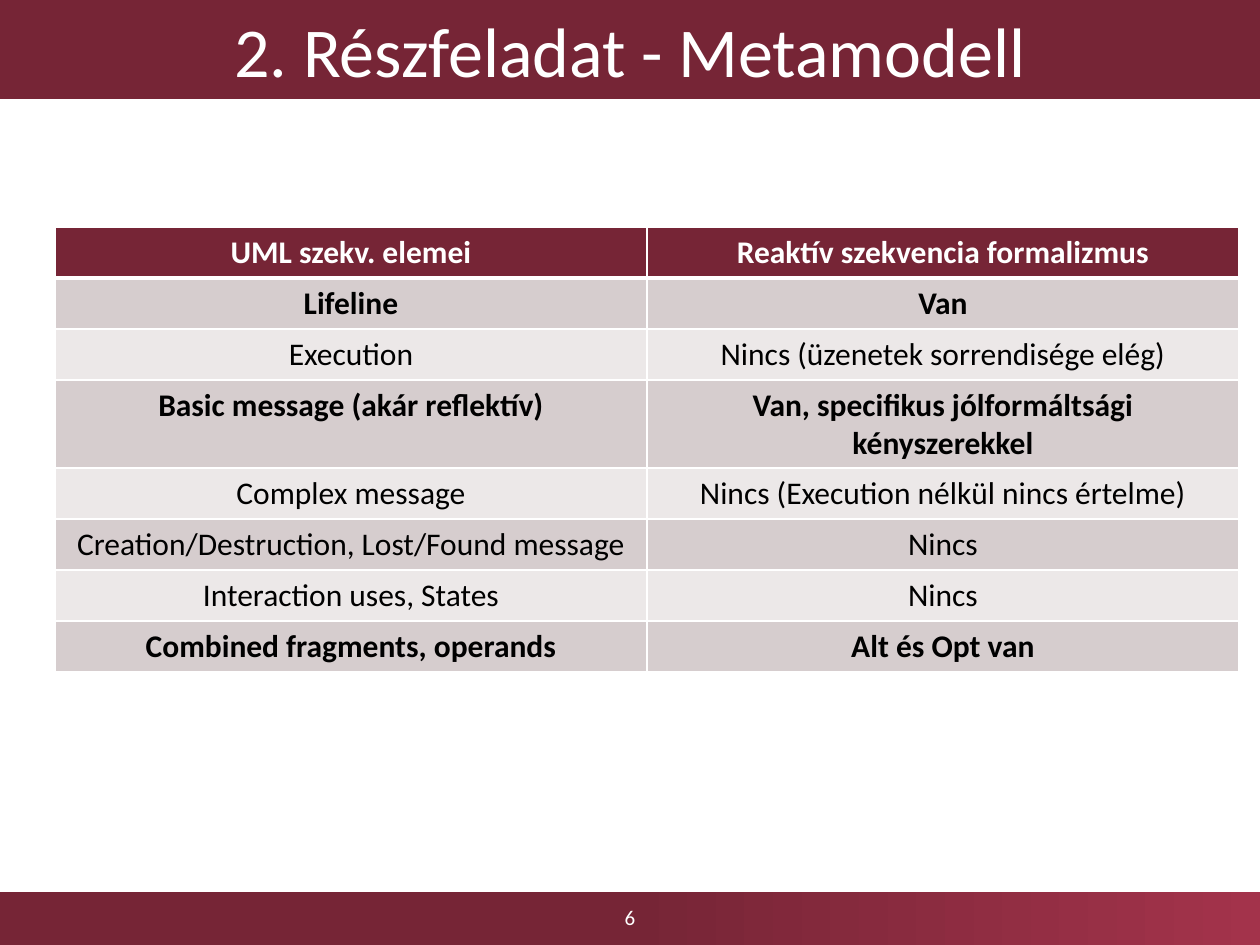
from copy import deepcopy
from dataclasses import dataclass

from lxml.etree import SubElement
from pptx import Presentation
from pptx.dml.color import RGBColor
from pptx.enum.shapes import MSO_SHAPE
from pptx.enum.text import MSO_ANCHOR, PP_ALIGN
from pptx.oxml.ns import qn
from pptx.util import Emu, Pt


@dataclass(frozen=True)
class Theme:
    """Colours, font and type sizes of the slide."""
    font: str = "Calibri"
    wine: str = "762536"
    wine_light: str = "A3334B"
    white: str = "FFFFFF"
    black: str = "000000"
    band_dark: str = "D6CDCE"
    band_light: str = "ECE8E8"
    title_size: int = 40
    table_size: int = 18
    number_size: int = 12


THEME = Theme()
EMU_PER_PX = 914400 / 126
SLIDE_W, SLIDE_H = 1260, 945
HEADER = ("UML szekv. elemei", "Reaktív szekvencia formalizmus")
ELEMENTS = [
    ("Lifeline", "Van", True),
    ("Execution", "Nincs (üzenetek sorrendisége elég)", False),
    ("Basic message (akár reflektív)",
     "Van, specifikus jólformáltsági kényszerekkel", True),
    ("Complex message", "Nincs (Execution nélkül nincs értelme)", False),
    ("Creation/Destruction, Lost/Found message", "Nincs", False),
    ("Interaction uses, States", "Nincs", False),
    ("Combined fragments, operands", "Alt és Opt van", True),
]


def px(n):
    """Turn pixels into EMU."""
    return Emu(round(n * EMU_PER_PX))


def rgb(color):
    """Turn a hex string into a colour."""
    return RGBColor.from_string(color)


def place(sp, box):
    """Move and size a shape to a pixel box."""
    sp.left, sp.top, sp.width, sp.height = map(px, box)


def write(tf, text, size, color, bold=False):
    """Set one centred line of formatted text."""
    tf.text = text
    p = tf.paragraphs[0]
    p.alignment = PP_ALIGN.CENTER
    font = p.runs[0].font
    font.name, font.size, font.bold = THEME.font, Pt(size), bold
    font.color.rgb = rgb(color)


def set_border(cell, side, width):
    """Draw one white border of a cell."""
    ln = SubElement(cell._tc.get_or_add_tcPr(), qn(f"a:ln{side}"), w=str(Pt(width)))
    fill = SubElement(ln, qn("a:solidFill"))
    SubElement(fill, qn("a:srgbClr"), val=THEME.white)


def add_title(s, box, text):
    """Place the title on its solid band."""
    sp = s.shapes.title
    place(sp, box)
    sp.fill.solid()
    sp.fill.fore_color.rgb = rgb(THEME.wine)
    tf = sp.text_frame
    tf.vertical_anchor = MSO_ANCHOR.MIDDLE
    write(tf, text, THEME.title_size, THEME.white)


def add_footer(s, box, number):
    """Draw the gradient band with the centred slide number."""
    left, top, width, height = box
    sp = s.shapes.add_shape(MSO_SHAPE.RECTANGLE, *map(px, box))
    sp.shadow.inherit = False
    sp.line.fill.background()
    sp.fill.gradient()
    sp.fill.gradient_angle = 0
    middle, end = sp.fill.gradient_stops
    middle.color.rgb, end.color.rgb = rgb(THEME.wine), rgb(THEME.wine_light)
    stops = sp._element.spPr.find(f".//{qn('a:gsLst')}")
    stops.insert(0, deepcopy(stops[0]))
    middle.position = 0.5

    number_w = 284
    number_box = (left + (width - number_w) // 2, top, number_w, height - 2)
    tf = s.shapes.add_textbox(*map(px, number_box)).text_frame
    tf.word_wrap = True
    tf.vertical_anchor = MSO_ANCHOR.MIDDLE
    write(tf, number, THEME.number_size, THEME.white)


def add_comparison(s, box):
    """Build the two-column comparison table."""
    rows = [(*HEADER, True), *ELEMENTS]
    table = s.shapes.add_table(len(rows), len(HEADER), *map(px, box)).table
    for i, (*texts, bold) in enumerate(rows):
        if i == 0:
            fill, color = THEME.wine, THEME.white
        else:
            fill = THEME.band_dark if i % 2 else THEME.band_light
            color = THEME.black
        for cell, text in zip(table.rows[i].cells, texts):
            write(cell.text_frame, text, THEME.table_size, color, bold)
            for side in "LRTB":
                header_edge = (i, side) in ((0, "B"), (1, "T"))
                set_border(cell, side, 3 if header_edge else 1)
            cell.fill.solid()
            cell.fill.fore_color.rgb = rgb(fill)


def build():
    """Build and save the presentation."""
    prs = Presentation()
    prs.slide_width, prs.slide_height = px(SLIDE_W), px(SLIDE_H)
    s = prs.slides.add_slide(prs.slide_layouts[5])
    add_footer(s, (0, 892, SLIDE_W, 53), "6")
    add_title(s, (0, 0, SLIDE_W, 99), "2. Részfeladat - Metamodell")
    add_comparison(s, (55, 227, 1184, 408))
    prs.save("out.pptx")


build()
